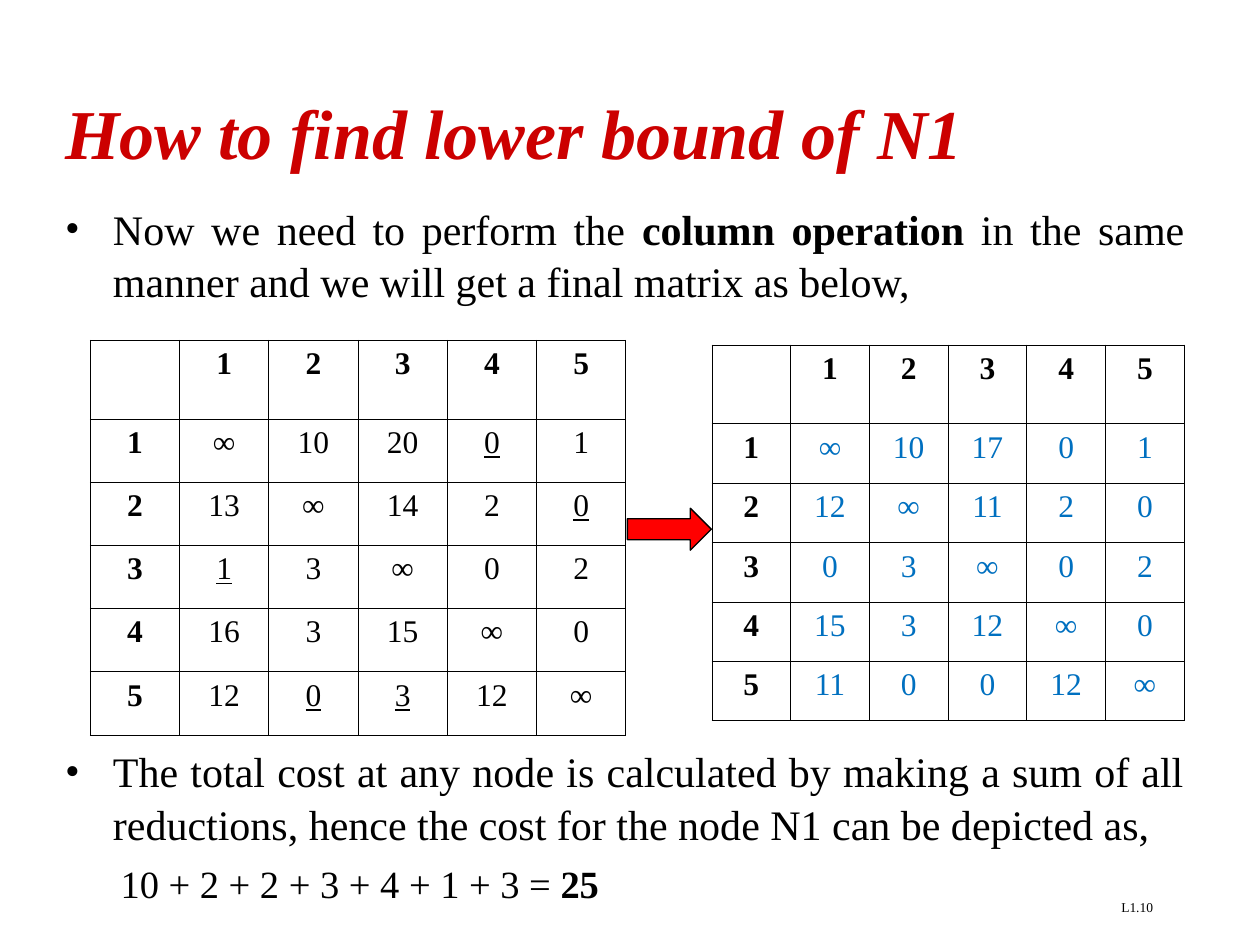
from lxml.etree import SubElement
from pptx import Presentation
from pptx.dml.color import RGBColor
from pptx.enum.shapes import MSO_SHAPE
from pptx.enum.text import MSO_ANCHOR, MSO_AUTO_SIZE, PP_ALIGN
from pptx.oxml.ns import qn
from pptx.util import Inches, Pt

COLUMNS, ROWS = 120, 90
WIDTH, HEIGHT = Inches(10), Inches(7.5)
FONT = "Times New Roman"
BLACK, BLUE, RED, TITLE_RED = "000000", "0070C0", "FF0000", "CC0000"

REDUCED_ROWS = ["∞ 10 20 _0 1", "13 ∞ 14 2 _0", "_1 3 ∞ 0 2", "16 3 15 ∞ 0", "12 _0 _3 12 ∞"]
REDUCED_COLUMNS = ["∞ 10 17 0 1", "12 ∞ 11 2 0", "0 3 ∞ 0 2", "15 3 12 ∞ 0", "11 0 0 12 ∞"]


def color(value):
    return RGBColor.from_string(value)


def grid(left, top, width, height):
    column, row = WIDTH / COLUMNS, HEIGHT / ROWS
    return int(left * column), int(top * row), int(width * column), int(height * row)


def add_text(para, text, size=18, fill=BLACK, bold=False, italic=False, underline=False):
    span = para.add_run()
    span.text = text
    font = span.font
    font.name, font.size, font.color.rgb = FONT, Pt(size), color(fill)
    font.bold, font.italic, font.underline = bold, italic, underline


def place(shape, box):
    shape.left, shape.top, shape.width, shape.height = box


def set_indent(para, margin, indent, bullet=None):
    properties = para._p.get_or_add_pPr()
    properties.set("marL", str(Inches(margin)))
    properties.set("indent", str(Inches(indent)))
    if bullet:
        SubElement(properties, qn("a:buFont"), typeface=FONT)
        SubElement(properties, qn("a:buChar"), char=bullet)
    else:
        SubElement(properties, qn("a:buNone"))


def add_title(page, box):
    title = page.shapes.title
    place(title, box)
    title.text_frame.vertical_anchor = MSO_ANCHOR.MIDDLE
    para = title.text_frame.paragraphs[0]
    para.alignment = PP_ALIGN.LEFT
    add_text(para, "How to find lower bound of N1", size=40, fill=TITLE_RED, bold=True, italic=True)


def add_body(page, box):
    body = page.placeholders[1]
    place(body, box)
    frame = body.text_frame
    frame.auto_size = MSO_AUTO_SIZE.NONE
    operation, total, result = frame.paragraphs[0], frame.add_paragraph(), frame.add_paragraph()
    result.level = 1
    for para, space in ((operation, 0), (total, 250), (result, 5.5)):
        para.alignment = PP_ALIGN.JUSTIFY
        para.line_spacing = 1.04
        para.space_before = Pt(space)
    for para in (operation, total):
        set_indent(para, 0.38, -0.38, "•")
    set_indent(result, 0.44, 0)
    add_text(operation, "Now we need to perform the ", size=24)
    add_text(operation, "column operation ", size=24, bold=True)
    add_text(operation, "in the same manner and we will get a final matrix as below,", size=24)
    add_text(total, "The total cost at any node is calculated by making a sum of all reductions, "
             "hence the cost for the node N1 can be depicted as,", size=24)
    add_text(result, "10 + 2 + 2 + 3 + 4 + 1 + 3 = ", size=22)
    add_text(result, "25", size=22, bold=True)


def add_borders(cell):
    properties = cell._tc.get_or_add_tcPr()
    for position, side in enumerate(("a:lnL", "a:lnR", "a:lnT", "a:lnB")):
        line = properties.makeelement(qn(side), {"w": str(Pt(0.45))})
        properties.insert(position, line)
        SubElement(SubElement(line, qn("a:solidFill")), qn("a:srgbClr"), val=BLACK)


def add_matrix(page, box, header_share, matrix, fill):
    values = [["", *"12345"]] + [[str(i), *row.split()] for i, row in enumerate(matrix, 1)]
    size = len(values)
    table = page.shapes.add_table(size, size, *box).table
    table.first_row = table.horz_banding = False
    header = int(box[3] * header_share)
    for index in range(size):
        table.columns[index].width = box[2] // size
        table.rows[index].height = (box[3] - header) // (size - 1) if index else header
    for row, line in enumerate(values):
        for column, value in enumerate(line):
            cell = table.cell(row, column)
            cell.fill.background()
            add_borders(cell)
            para = cell.text_frame.paragraphs[0]
            para.alignment = PP_ALIGN.CENTER
            label = row == 0 or column == 0
            if value:
                add_text(para, value.lstrip("_"), fill=BLACK if label else fill,
                         bold=label, underline=value.startswith("_"))


def add_arrow(page, box):
    arrow = page.shapes.add_shape(MSO_SHAPE.RIGHT_ARROW, *box)
    arrow.shadow.inherit = False
    arrow.fill.solid()
    arrow.fill.fore_color.rgb = color(RED)
    arrow.line.color.rgb = color(BLACK)
    arrow.line.width = Pt(0.75)


def add_page_number(page, box):
    frame = page.shapes.add_textbox(*box).text_frame
    frame.word_wrap = True
    para = frame.paragraphs[0]
    para.alignment = PP_ALIGN.RIGHT
    add_text(para, "L1.10", size=7.7)


def main():
    deck = Presentation()
    deck.slide_width, deck.slide_height = WIDTH, HEIGHT
    page = deck.slides.add_slide(deck.slide_layouts[1])
    add_page_number(page, grid(86, 85, 25, 3))
    add_title(page, grid(5, 5, 112, 15))
    add_body(page, grid(5, 18.6, 109, 67.3))
    add_matrix(page, grid(8.6, 32.4, 51, 37.6), 0.2, REDUCED_ROWS, BLACK)
    add_arrow(page, grid(59.75, 48.4, 8, 4))
    add_matrix(page, grid(67.8, 32.85, 45, 35.8), 0.21, REDUCED_COLUMNS, BLUE)
    deck.save("out.pptx")


if __name__ == "__main__":
    main()
